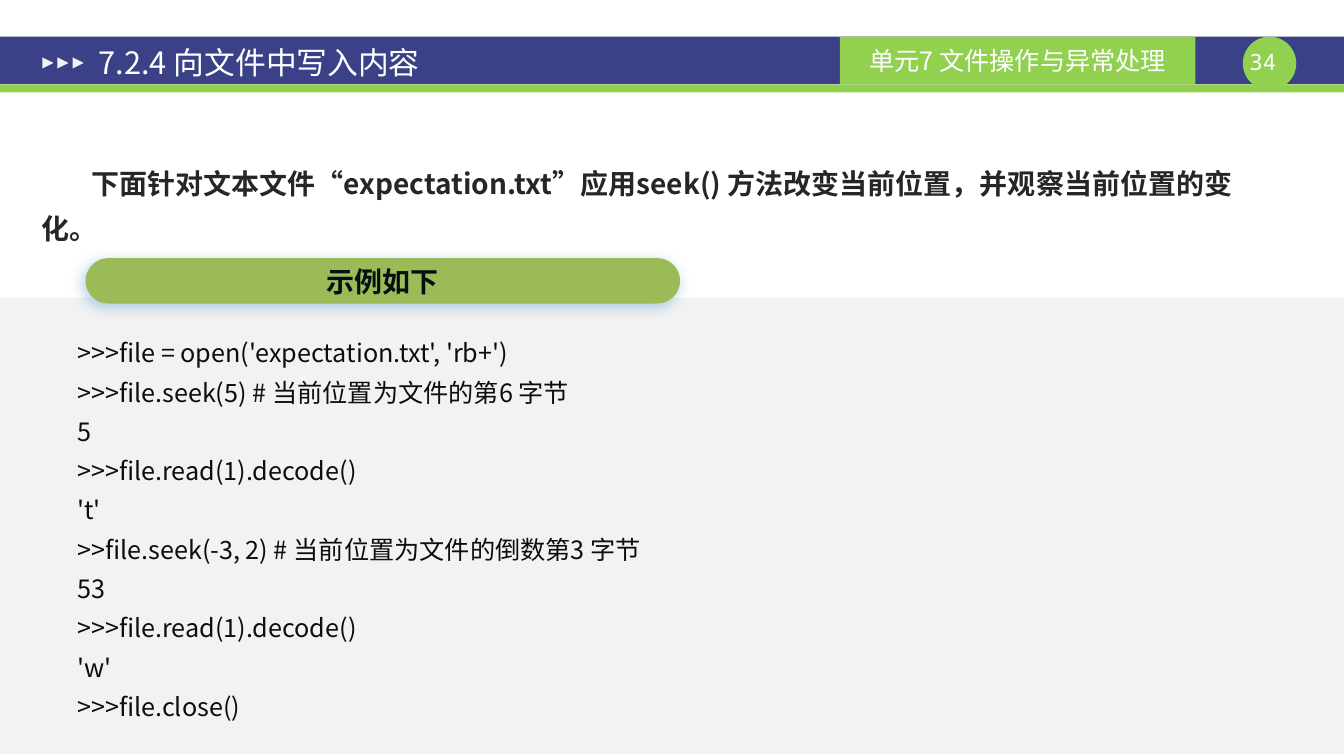
from pptx import Presentation
from pptx.dml.color import RGBColor
from pptx.enum.shapes import MSO_SHAPE
from pptx.enum.text import MSO_ANCHOR, MSO_AUTO_SIZE, PP_ALIGN
from pptx.oxml import parse_xml
from pptx.oxml.ns import nsdecls, qn
from pptx.util import Pt

# Content
TITLE = "7.2.4 向文件中写入内容"
UNIT = "单元7 文件操作与异常处理"
PAGE = "34"
INTRO = "下面针对文本文件“expectation.txt”应用seek() 方法改变当前位置，并观察当前位置的变化。"
EXAMPLE_LABEL = "示例如下"
CODE = [
    ">>>file = open('expectation.txt', 'rb+')",
    ">>>file.seek(5) # 当前位置为文件的第6 字节",
    "5",
    ">>>file.read(1).decode()",
    "'t'",
    ">>file.seek(-3, 2) # 当前位置为文件的倒数第3 字节",
    "53",
    ">>>file.read(1).decode()",
    "'w'",
    ">>>file.close()",
]

# Style
SANS, MONO = "Noto Sans CJK SC", "Noto Sans Mono"
WHITE = RGBColor(0xFF, 0xFF, 0xFF)
NAVY = RGBColor(0x3A, 0x41, 0x87)
GREEN = RGBColor(0x92, 0xD0, 0x50)
OLIVE = RGBColor(0x9B, 0xBB, 0x59)
LIGHT = RGBColor(0xF2, 0xF2, 0xF2)
INTRO_GREY = RGBColor(0x26, 0x26, 0x26)
LABEL_INK = RGBColor(0x06, 0x0E, 0x11)
CODE_INK = RGBColor(0x0D, 0x0D, 0x0D)

# Sizes in points
WIDTH, HEIGHT = 960.48, 540
BAR_TOP, BAR_HEIGHT = 26.2, 34
ARROW_LEFT, ARROW_STEP, ARROW_SIZE = 30.2, 10.8, 8

presentation = Presentation()
presentation.slide_width, presentation.slide_height = Pt(WIDTH), Pt(HEIGHT)
slide = presentation.slides.add_slide(presentation.slide_layouts[5])


def add_block(kind, box, color):
    shape = slide.shapes.add_shape(kind, *map(Pt, box))
    shape.shadow.inherit = False
    shape.fill.solid()
    shape.fill.fore_color.rgb = color
    shape.line.fill.background()
    return shape


def write(shape, lines, size, color, font=SANS, bold=False,
          align=PP_ALIGN.LEFT, anchor=MSO_ANCHOR.MIDDLE, spacing=None):
    frame = shape.text_frame
    frame.word_wrap = True
    frame.auto_size = MSO_AUTO_SIZE.NONE
    frame.vertical_anchor = anchor
    for index, line in enumerate(lines):
        paragraph = frame.add_paragraph() if index else frame.paragraphs[0]
        paragraph.alignment = align
        paragraph.line_spacing = spacing
        run = paragraph.add_run()
        run.text = line
        run.font.size, run.font.bold, run.font.name = Pt(size), bold, font
        run.font.color.rgb = color
        east_asian = parse_xml(f'<a:ea {nsdecls("a")} typeface="{font}"/>')
        run.font._element.find(qn("a:latin")).addnext(east_asian)
    return frame


def set_margins(frame, horizontal, vertical):
    frame.margin_left = frame.margin_right = Pt(horizontal)
    frame.margin_top = frame.margin_bottom = Pt(vertical)


# Header bars, page badge and unit label
add_block(MSO_SHAPE.RECTANGLE, (0, BAR_TOP, WIDTH, BAR_HEIGHT), NAVY)
add_block(MSO_SHAPE.RECTANGLE, (0, BAR_TOP + BAR_HEIGHT, WIDTH, 5.8), GREEN)
add_block(MSO_SHAPE.OVAL, (888.2, BAR_TOP, 38.2, 38.2), GREEN)
page_box = slide.shapes.add_textbox(Pt(883.4), Pt(34.6), Pt(38.2), Pt(19.4))
set_margins(write(page_box, [PAGE], 16, WHITE, MONO, align=PP_ALIGN.CENTER,
                  anchor=MSO_ANCHOR.TOP), 0, 0)
unit = add_block(MSO_SHAPE.RECTANGLE, (600.2, BAR_TOP, 254, BAR_HEIGHT), GREEN)
write(unit, [UNIT], 18, WHITE, align=PP_ALIGN.CENTER)

# Arrows pointing at the title
for index in range(3):
    arrow = add_block(MSO_SHAPE.ISOSCELES_TRIANGLE,
                      (ARROW_LEFT + index * ARROW_STEP, 41, ARROW_SIZE, ARROW_SIZE), LIGHT)
    arrow.rotation = 90

# Title, brought in front of the header bar
title = slide.shapes.title
title.left, title.top, title.width, title.height = map(Pt, (61.2, 28.8, 518.4, 31.7))
set_margins(write(title, [TITLE], 22, WHITE), 9.4, 5)
title._element.getparent().append(title._element)

# Introduction
intro = slide.shapes.add_textbox(*map(Pt, (22.3, 108, 883.4, 68.4)))
intro_frame = write(intro, [INTRO], 20, INTRO_GREY, bold=True,
                    anchor=MSO_ANCHOR.TOP, spacing=1.32)
intro_frame.paragraphs[0]._p.get_or_add_pPr().set("indent", str(Pt(36)))

# Code panel with its label
add_block(MSO_SHAPE.RECTANGLE, (0, 212.6, WIDTH, 326), LIGHT)
label = add_block(MSO_SHAPE.ROUNDED_RECTANGLE, (61.2, 184.4, 424.8, 32.4), OLIVE)
label.adjustments[0] = 0.5
write(label, [EXAMPLE_LABEL], 20, LABEL_INK, bold=True, align=PP_ALIGN.CENTER)
label._element.spPr.find(qn("a:effectLst")).append(parse_xml(
    f'<a:outerShdw {nsdecls("a")} blurRad="{Pt(10)}" dist="{Pt(3)}" dir="8100000" '
    'rotWithShape="0"><a:srgbClr val="0070C0"><a:alpha val="30000"/></a:srgbClr>'
    '</a:outerShdw>'))
code = slide.shapes.add_textbox(*map(Pt, (48.2, 231.1, 858.2, 288.7)))
write(code, CODE, 18, CODE_INK, anchor=MSO_ANCHOR.TOP, spacing=1.3)

presentation.save("out.pptx")
